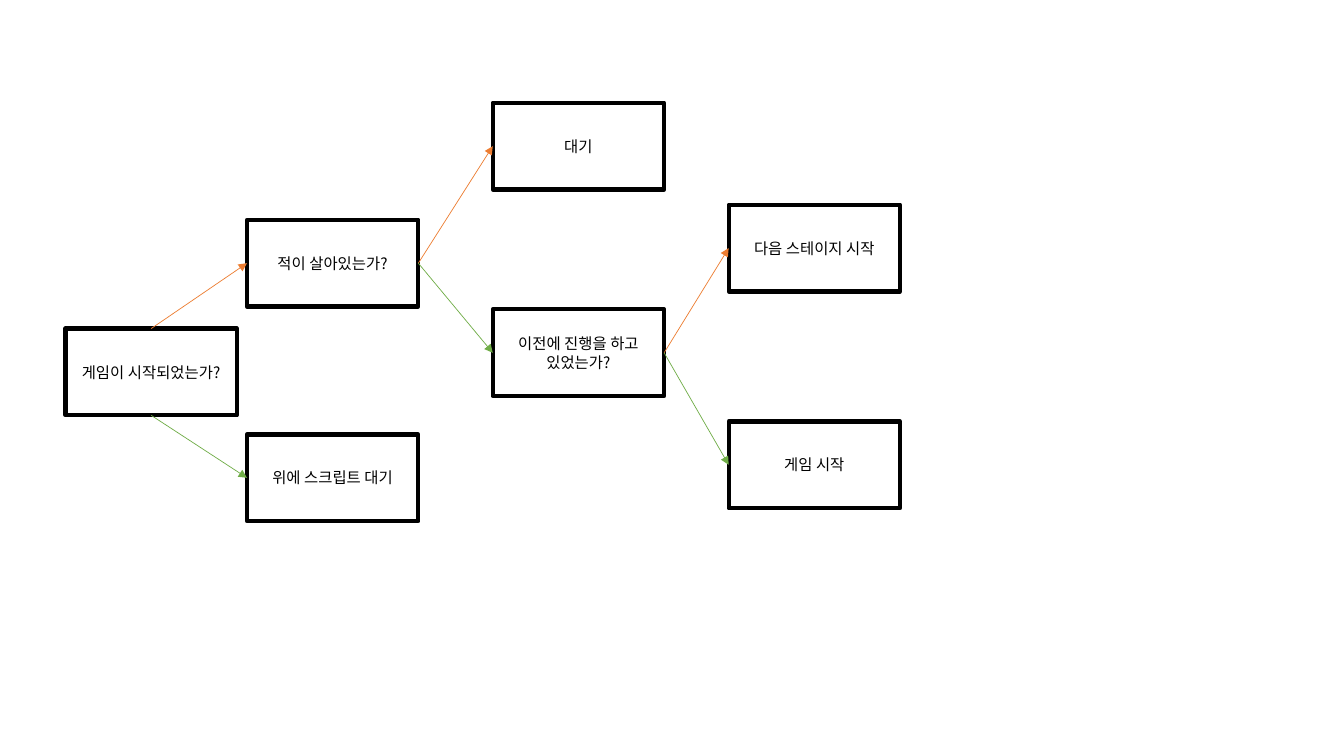
from lxml import etree
from pptx import Presentation
from pptx.dml.color import RGBColor
from pptx.enum.shapes import MSO_CONNECTOR, MSO_SHAPE
from pptx.enum.text import MSO_ANCHOR, PP_ALIGN
from pptx.oxml.ns import qn
from pptx.util import Pt

RECTANGLE = MSO_SHAPE.RECTANGLE
STRAIGHT = MSO_CONNECTOR.STRAIGHT
MIDDLE = MSO_ANCHOR.MIDDLE
CENTER = PP_ALIGN.CENTER

FONT = "Noto Sans CJK KR"
COLORS = {"box": "FFFFFF", "ink": "000000", "yes": "ED7D31", "no": "70AD47"}
COLUMNS = (46.8, 176.4, 352, 520.5)
BOX_WIDTH, BOX_HEIGHT = 122.4, 62
TOP, LEFT, BOTTOM, RIGHT = range(4)

BOXES = {
    "started": ("게임이 시작되었는가?", 0, 234.7),
    "alive": ("적이 살아있는가?", 1, 157),
    "script": ("위에 스크립트 대기", 1, 310.3),
    "wait": ("대기", 2, 73.4),
    "progress": ("이전에 진행을 하고 있었는가?", 2, 221),
    "next": ("다음 스테이지 시작", 3, 146.2),
    "begin": ("게임 시작", 3, 301),
}
ARROWS = [
    ("started", BOTTOM, "script", "no"),
    ("started", TOP, "alive", "yes"),
    ("alive", RIGHT, "wait", "yes"),
    ("alive", RIGHT, "progress", "no"),
    ("progress", RIGHT, "next", "yes"),
    ("progress", RIGHT, "begin", "no"),
]


def color(name):
    return RGBColor.from_string(COLORS[name])


def add_box(slide, text, column, top):
    shape = slide.shapes.add_shape(
        RECTANGLE, Pt(COLUMNS[column]), Pt(top), Pt(BOX_WIDTH), Pt(BOX_HEIGHT))
    shape.shadow.inherit = False
    shape.fill.solid()
    shape.fill.fore_color.rgb = color("box")
    shape.line.color.rgb = color("ink")
    shape.line.width = Pt(3)
    frame = shape.text_frame
    frame.word_wrap = True
    frame.vertical_anchor = MIDDLE
    paragraph = frame.paragraphs[0]
    paragraph.alignment = CENTER
    run = paragraph.add_run()
    run.text = text
    run.font.size = Pt(11)
    run.font.name = FONT
    run.font.color.rgb = color("ink")
    etree.SubElement(run.font._element, qn("a:ea"), typeface=FONT)
    return shape


def add_arrow(slide, source, side, target, answer):
    connector = slide.shapes.add_connector(STRAIGHT, 0, 0, 0, 0)
    connector.begin_connect(source, side)
    connector.end_connect(target, LEFT)
    connector.line.color.rgb = color(answer)
    connector.line.width = Pt(0.5)
    etree.SubElement(connector.line._get_or_add_ln(), qn("a:tailEnd"), type="triangle")
    etree.SubElement(connector._element.spPr, qn("a:effectLst"))


def main():
    presentation = Presentation()
    presentation.slide_width = Pt(960)
    presentation.slide_height = Pt(540)
    slide = presentation.slides.add_slide(presentation.slide_layouts[6])
    shapes = {name: add_box(slide, *box) for name, box in BOXES.items()}
    for source, side, target, answer in ARROWS:
        add_arrow(slide, shapes[source], side, shapes[target], answer)
    presentation.save("out.pptx")


if __name__ == "__main__":
    main()
